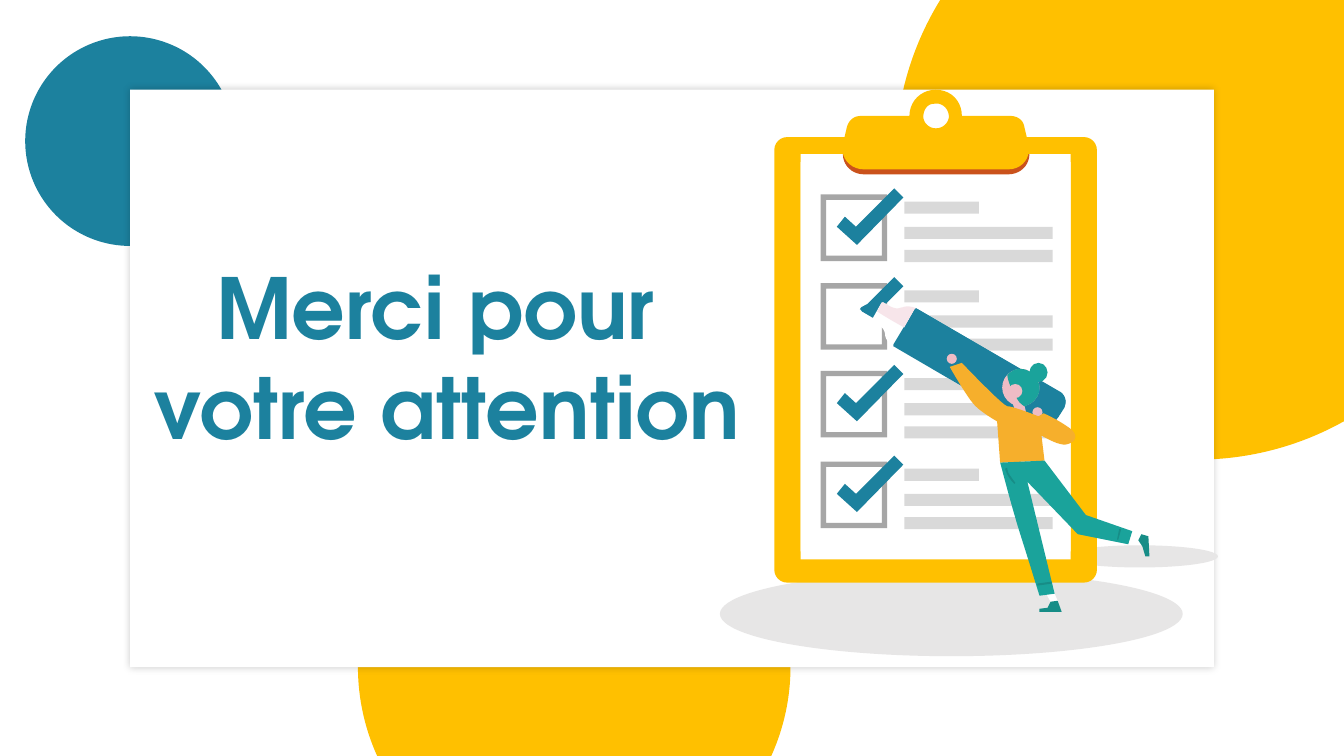
from lxml import etree
from pptx import Presentation
from pptx.dml.color import RGBColor
from pptx.enum.shapes import MSO_SHAPE
from pptx.enum.text import MSO_ANCHOR, MSO_AUTO_SIZE, PP_ALIGN
from pptx.oxml.ns import qn
from pptx.util import Inches, Pt

FONT = "TeX Gyre Adventor"
YELLOW = RGBColor(0xFF, 0xC0, 0x00)
BLUE = RGBColor(0x1C, 0x81, 0x9E)
WHITE = RGBColor(0xFF, 0xFF, 0xFF)
SHADE = RGBColor(0xE7, 0xE6, 0xE6)
RUST = RGBColor(0xCA, 0x52, 0x1C)
FRAME = RGBColor(0xA6, 0xA6, 0xA6)
LINE = RGBColor(0xD9, 0xD9, 0xD9)
WOOD = RGBColor(0xF7, 0xE5, 0xEA)
SKIN = RGBColor(0xEE, 0xBC, 0xC5)
ORANGE = RGBColor(0xF6, 0xAF, 0x2C)
TEAL = RGBColor(0x1A, 0xA3, 0x9B)
DARK_TEAL = RGBColor(0x17, 0x8D, 0x87)

TICK = "M .73 -.06 L .35 .32 L .24 .22 L .16 .32 L .36 .5 L .82 .03"
HALF_TICK = "M .73 -.06 L .47 .2 L .55 .3 L .82 .03"
ROWS = [(1.04, TICK), (1.92, HALF_TICK), (2.79, TICK), (3.69, TICK)]
LIP = "M .68 .64 C .68 .75 .77 .84 .89 .84 L 2.32 .84 C 2.44 .84 2.53 .75 2.53 .64"
CLIP = (
    "M 2.48 .37 C 2.47 .3 2.41 .26 2.34 .26 L 1.86 .26 C 1.86 .11 1.75 0 1.6 0 "
    "C 1.46 0 1.34 .11 1.34 .26 L .86 .26 C .79 .26 .74 .3 .72 .37 L .68 .54 "
    "C .65 .67 .75 .79 .89 .79 L 2.32 .79 C 2.46 .79 2.55 .67 2.52 .54 "
    "M 1.63 .38 C 1.54 .4 1.46 .32 1.48 .24 C 1.49 .18 1.53 .14 1.58 .14 "
    "C 1.67 .12 1.74 .2 1.73 .28 C 1.72 .33 1.68 .37 1.63 .38"
)
PENCIL = [
    (BLUE, "M .67 .16 L .55 .09 C .54 .08 .54 .07 .53 .07 C .53 .06 .54 .06 .54 .05 "
           "L .65 -.01 C .66 -.01 .66 -.02 .67 -.01 L .75 .03 C .76 .04 .76 .05 .75 .06 "
           "L .7 .15 C .69 .16 .68 .16 .67 .16"),
    (WHITE, "M 2.2 1.22 L .87 .44 C .83 .42 .79 .38 .78 .33 C .78 .29 .76 .25 .72 .23 "
            "L .66 .19 C .65 .19 .64 .18 .65 .17 L .74 .01 C .75 0 .76 0 .76 0 L .83 .04 "
            "C .87 .06 .91 .06 .95 .05 C 1 .03 1.05 .04 1.09 .06 L 2.43 .85 "
            "C 2.53 .9 2.56 1.03 2.5 1.13 L 2.49 1.15 C 2.43 1.25 2.31 1.28 2.2 1.22"),
    (BLUE, "M 1.07 .07 L .86 .42 C .86 .43 .86 .44 .87 .44 L 2.29 1.27 "
           "C 2.34 1.31 2.41 1.29 2.44 1.23 L 2.55 1.04 C 2.58 .99 2.57 .92 2.51 .89 "
           "L 1.09 .06 C 1.08 .06 1.07 .06 1.07 .07"),
    (WOOD, "M .76 0 C .75 0 .74 0 .74 .01 L .7 .09 C .76 .13 .86 .19 .97 .25 L 1.07 .07 "
           "L 1.09 .06 C 1.07 .05 1.03 .04 1.01 .04 C .99 .04 .97 .04 .95 .05 "
           "C .93 .05 .92 .06 .9 .06 C .88 .06 .85 .05 .83 .04"),
    (BLUE, "M 1.08 .06 L .97 .25 C 1.41 .51 2.09 .92 2.49 1.15 L 2.56 1.04 "
           "C 2.56 1.03 2.57 1.01 2.57 .99 C 2.57 .95 2.55 .91 2.52 .89 L 1.09 .06"),
]
SOCKS_AND_NECK = [
    (WHITE, "M 2.23 2.27 L 2.32 2.3 L 2.29 2.36 L 2.19 2.33"),
    (WHITE, "M 1.46 2.89 L 1.49 2.96 L 1.42 2.97 L 1.37 2.88"),
    (SKIN, "M 1.02 .93 L 1.08 1.11 L 1.19 1.14 L 1.14 .94"),
]
CLOTHES = [
    (ORANGE, "M .42 .64 C .42 .64 .58 .92 .65 1 C .71 1.08 .89 1.18 .89 1.18 L .92 1.59 "
             "L 1.36 1.57 L 1.33 1.32 C 1.33 1.32 1.49 1.42 1.57 1.41 "
             "C 1.64 1.4 1.73 1.33 1.6 1.24 C 1.47 1.15 1.35 1.1 1.35 1.1 L 1.3 1.13 "
             "C 1.3 1.13 1.05 1.03 .99 1.03 C .94 1.02 .54 .6 .54 .6"),
    (TEAL, "M .92 1.59 C .92 1.59 1.04 2.05 1.11 2.27 C 1.18 2.49 1.31 2.91 1.31 2.91 "
           "L 1.46 2.89 L 1.19 1.78 L 1.69 2.3 L 2.19 2.4 L 2.23 2.27 L 1.77 2.11 L 1.36 1.57"),
]
HAIR = [
    (TEAL, "M 1.31 .85 C 1.31 .75 1.22 .66 1.12 .66 C 1.07 .66 1.03 .68 .99 .72 "
           "C 1 .81 1.06 .92 1.11 .99 C 1.12 1 1.14 1.02 1.16 1.03 C 1.24 1.01 1.31 .94 1.31 .85"),
]
SHOES_AND_SEAMS = [
    (DARK_TEAL, "M 1.49 2.96 L 1.42 2.97 L 1.39 3.03 L 1.31 3.04 L 1.31 3.07 L 1.53 3.07"),
    (DARK_TEAL, "M 2.29 2.36 L 2.32 2.3 L 2.39 2.32 L 2.4 2.52 L 2.36 2.52 L 2.33 2.42"),
    (DARK_TEAL, "M .97 1.65 C .97 1.65 .98 1.72 1.06 1.8 L 1.07 1.79 "
                "C 1.04 1.75 1.02 1.72 1 1.69 C 1 1.68 .99 1.66 .99 1.64"),
    (DARK_TEAL, "M 1.29 2.81 L 1.43 2.79 L 1.43 2.77 L 1.29 2.79"),
    (DARK_TEAL, "M 2.1 2.25 L 2.08 2.35 L 2.09 2.36 L 2.12 2.25"),
]


def paint(sp, color):
    sp.fill.solid()
    sp.fill.fore_color.rgb = color
    sp.line.fill.background()
    sp.shadow.inherit = False
    return sp


def add_preset(s, kind, color, x, y, w, h):
    return paint(s.shapes.add_shape(kind, Inches(x), Inches(y), Inches(w), Inches(h)), color)


def bezier(points, steps=10):
    for i in range(1, steps + 1):
        t = i / steps
        weights = ((1 - t) ** 3, 3 * t * (1 - t) ** 2, 3 * t * t * (1 - t), t ** 3)
        yield tuple(sum(k * p[axis] for k, p in zip(weights, points)) for axis in (0, 1))


def trace(outline):
    contours = []
    tokens = iter(outline.split())
    for command in tokens:
        count = 3 if command == "C" else 1
        points = [(float(next(tokens)), float(next(tokens))) for _ in range(count)]
        if command == "M":
            contours.append(points)
        elif command == "L":
            contours[-1] += points
        else:
            contours[-1] += bezier([contours[-1][-1]] + points)
    return contours


def add_outlines(s, x, y, parts):
    for color, outline in parts:
        contours = [[(Inches(x + dx), Inches(y + dy)) for dx, dy in points]
                    for points in trace(outline)]
        fb = s.shapes.build_freeform(*contours[0][0], scale=1.0)
        for i, points in enumerate(contours):
            if i:
                fb.move_to(*points[0])
            fb.add_line_segments(points[1:], close=True)
        paint(fb.convert_to_shape(), color)


def add_background(s, x, y, w, h):
    for color, dx, dy, size in [(YELLOW, 2.26, 3.58, 4.29), (BLUE, -1.04, -0.53, 2.08),
                                (YELLOW, 7.59, -2.31, 5.98)]:
        add_preset(s, MSO_SHAPE.OVAL, color, x + dx, y + dy, size, size)
    card = add_preset(s, MSO_SHAPE.RECTANGLE, WHITE, x, y, w, h)
    effects = card.element.spPr.find(qn("a:effectLst"))
    shadow = etree.SubElement(effects, qn("a:outerShdw"), blurRad=str(Pt(5)), dist="0", dir="0")
    black = etree.SubElement(shadow, qn("a:srgbClr"), val="000000")
    etree.SubElement(black, qn("a:alpha"), val="20000")


def add_title(s, x, y, w, h):
    sp = s.shapes.title
    s.shapes.element.append(sp.element)
    sp.left, sp.top, sp.width, sp.height = Inches(x), Inches(y), Inches(w), Inches(h)
    tf = sp.text_frame
    tf.word_wrap = True
    tf.auto_size = MSO_AUTO_SIZE.SHAPE_TO_FIT_TEXT
    tf.vertical_anchor = MSO_ANCHOR.MIDDLE
    tf.margin_left = tf.margin_right = tf.margin_top = tf.margin_bottom = 0
    for i, text in enumerate(["Merci pour ", "votre attention"]):
        p = tf.add_paragraph() if i else tf.paragraphs[0]
        p.alignment = PP_ALIGN.CENTER
        p.line_spacing = 1.0
        p.space_before = Pt(0)
        r = p.add_run()
        r.text = text
        r.font.name, r.font.size, r.font.bold = FONT, Pt(60), True
        r.font.color.rgb = BLUE


def add_check_row(s, x, y, tick):
    frame = add_preset(s, MSO_SHAPE.FRAME, FRAME, x, y, 0.66, 0.66)
    frame.adjustments[0] = 0.08
    for dy, w in [(0.07, 0.74), (0.32, 1.47), (0.55, 1.47)]:
        add_preset(s, MSO_SHAPE.RECTANGLE, LINE, x + 0.83, y + dy, w, 0.12)
    add_outlines(s, x, y, [(BLUE, tick)])


def add_clipboard(s, x, y):
    add_preset(s, MSO_SHAPE.OVAL, SHADE, x + 2.85, y + 4.52, 1.55, 0.22)
    add_preset(s, MSO_SHAPE.OVAL, SHADE, x - 0.54, y + 4.78, 4.59, 0.84)
    board = add_preset(s, MSO_SHAPE.ROUNDED_RECTANGLE, YELLOW, x, y + 0.47, 3.2, 4.42)
    board.adjustments[0] = 0.04
    for dy in (0.72, 0.64):
        add_preset(s, MSO_SHAPE.RECTANGLE, WHITE, x + 0.26, y + dy, 2.68, 3.94)
    add_outlines(s, x, y, [(RUST, LIP), (YELLOW, CLIP)])
    for dy, tick in ROWS:
        add_check_row(s, x + 0.46, y + dy, tick)


def add_woman(s, x, y):
    add_preset(s, MSO_SHAPE.OVAL, SKIN, x + 0.94, y + 0.66, 0.37, 0.37)
    add_outlines(s, x, y, SOCKS_AND_NECK)
    for dx, dy in [(0.39, 0.51), (1.24, 1.04)]:
        add_preset(s, MSO_SHAPE.OVAL, SKIN, x + dx, y + dy, 0.1, 0.1)
    add_outlines(s, x, y, CLOTHES)
    add_preset(s, MSO_SHAPE.OVAL, TEAL, x + 1.21, y + 0.6, 0.18, 0.19)
    add_outlines(s, x, y, HAIR)
    add_preset(s, MSO_SHAPE.OVAL, SKIN, x + 1, y + 0.81, 0.14, 0.14)
    add_outlines(s, x, y, SHOES_AND_SEAMS)


def main():
    prs = Presentation()
    prs.slide_width, prs.slide_height = Inches(13.33), Inches(7.5)
    s = prs.slides.add_slide(prs.slide_layouts[5])
    add_background(s, 1.29, 0.89, 10.75, 5.73)
    add_title(s, 0.42, 2.52, 8.03, 2.02)
    add_clipboard(s, 7.68, 0.89)
    add_outlines(s, 8, 3, PENCIL)
    add_woman(s, 9, 3)
    prs.save("out.pptx")


if __name__ == "__main__":
    main()
